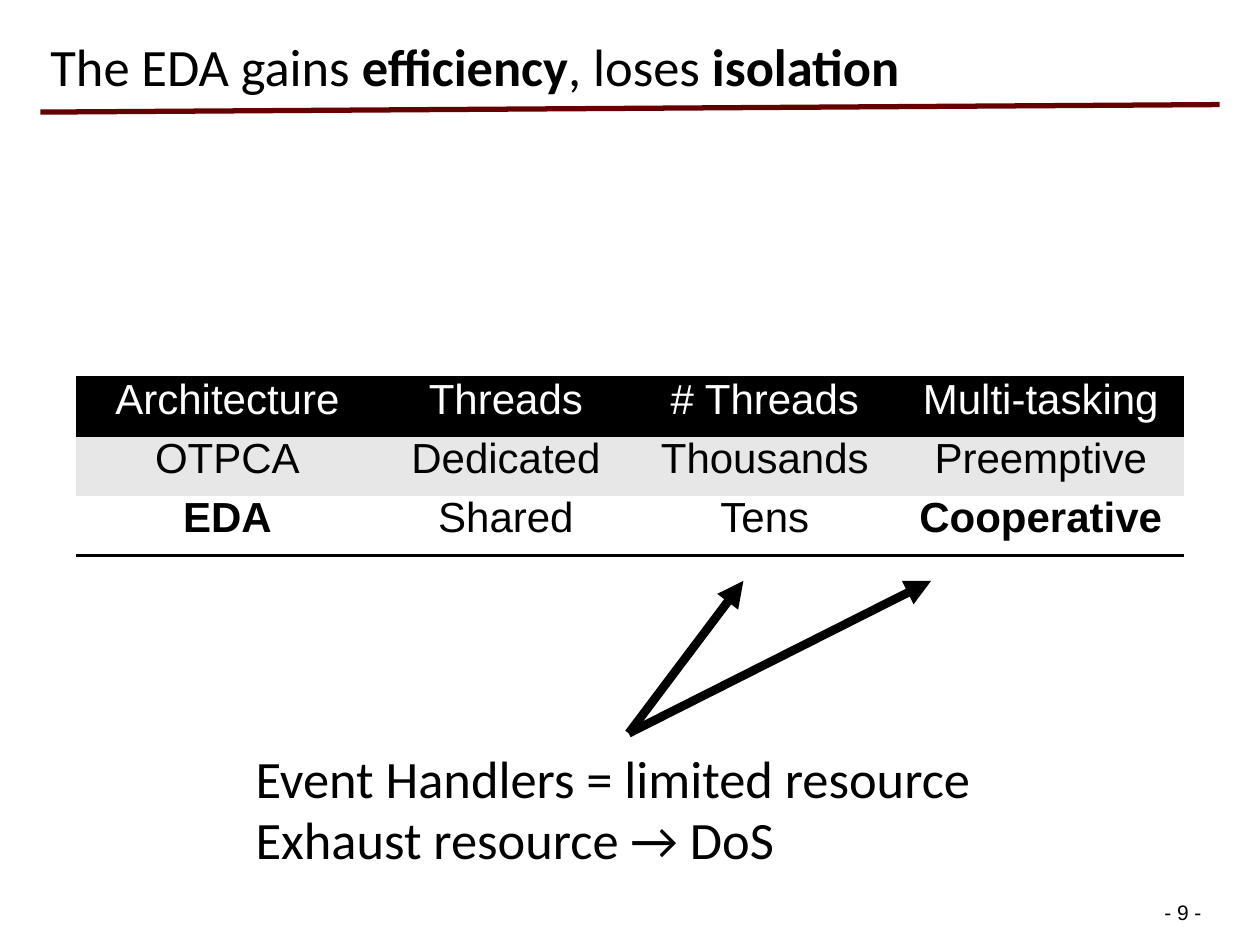
import dataclasses
import typing

import lxml.etree
import pptx
import pptx.dml.color
import pptx.enum.shapes
import pptx.enum.text
import pptx.oxml.ns
import pptx.util

Inches = pptx.util.Inches
Pt = pptx.util.Pt
Align = pptx.enum.text.PP_ALIGN
Point = tuple[float, float]
qn = pptx.oxml.ns.qn


@dataclasses.dataclass(frozen=True)
class Theme:
    black: str = "000000"
    white: str = "FFFFFF"
    gray: str = "E7E7E7"
    maroon: str = "660000"
    head: str = "Calibri"
    body: str = "Arial"
    large: int = 30
    mid: int = 24
    small: int = 12


@dataclasses.dataclass(frozen=True)
class Stroke:
    start: Point
    end: Point
    color: str
    width: float
    arrow: bool = False


@dataclasses.dataclass(frozen=True)
class Row:
    cells: tuple[str, ...]
    fill: str
    ink: str
    bold: tuple[int, ...] = ()
    edge: str = ""


THEME = Theme()
START = (4.99, 5.82)
STROKES = (
    Stroke((0.32, 0.89), (9.68, 0.83), THEME.maroon, 3),
    Stroke(START, (5.9, 4.61), THEME.black, 5, True),
    Stroke(START, (7.39, 4.61), THEME.black, 5, True),
)
COLS = (2.41, 2.01, 2.1, 2.28)
HIGH = 0.47
ROWS = (
    Row(("Architecture", "Threads", "# Threads", "Multi-tasking"),
        THEME.black, THEME.white, edge="lnT"),
    Row(("OTPCA", "Dedicated", "Thousands", "Preemptive"),
        THEME.gray, THEME.black),
    Row(("EDA", "Shared", "Tens", "Cooperative"),
        THEME.white, THEME.black, (0, 3), "lnB"),
)
TITLE = (("The EDA gains ", False), ("efficiency", True),
         (", loses ", False), ("isolation", True))
NOTES = ("Event Handlers = limited resource", "Exhaust resource → DoS")


def rgb(code: str) -> pptx.dml.color.RGBColor:
    return pptx.dml.color.RGBColor.from_string(code)


def apply(item: typing.Any, form: dict[str, typing.Any]) -> None:
    for name, value in form.items():
        setattr(item, name, value)


def write(para: typing.Any, text: str, face: str, size: int,
          ink: str = THEME.black, bold: bool = False) -> None:
    run = para.add_run()
    run.text = text
    apply(run.font, {"name": face, "size": Pt(size), "bold": bold})
    run.font.color.rgb = rgb(ink)


def space(para: typing.Any, size: int, align: Align = Align.LEFT) -> None:
    apply(para, {"line_spacing": 0.8, "space_before": Pt(size * 0.2),
                 "alignment": align})


def draw(slide: typing.Any, stroke: Stroke) -> None:
    ends = [Inches(n) for n in stroke.start + stroke.end]
    kind = pptx.enum.shapes.MSO_CONNECTOR.STRAIGHT
    line = slide.shapes.add_connector(kind, *ends)
    line.line.width = Pt(stroke.width)
    line.line.color.rgb = rgb(stroke.color)
    if stroke.arrow:
        lxml.etree.SubElement(line.line._ln, qn("a:tailEnd"), type="triangle")
    lxml.etree.SubElement(line._element.spPr, qn("a:effectLst"))


def border(cell: typing.Any, edge: str) -> None:
    props = cell._tc.get_or_add_tcPr()
    for spot, side in enumerate(("lnL", "lnR", "lnT", "lnB")):
        line = lxml.etree.Element(qn("a:" + side), w=str(Pt(2)))
        if side == edge:
            fill = lxml.etree.SubElement(line, qn("a:solidFill"))
            lxml.etree.SubElement(fill, qn("a:srgbClr"), val=THEME.black)
        else:
            lxml.etree.SubElement(line, qn("a:noFill"))
        props.insert(spot, line)


def grid(slide: typing.Any) -> None:
    box = (0.6, 3, sum(COLS), HIGH * len(ROWS))
    frame = slide.shapes.add_table(len(ROWS), len(COLS), *map(Inches, box))
    table = frame.table
    apply(table, {"first_row": False, "horz_banding": False})
    for col, width in zip(table.columns, COLS):
        col.width = Inches(width)
    for line, row in zip(table.rows, ROWS):
        line.height = Inches(HIGH)
        for spot, (cell, text) in enumerate(zip(line.cells, row.cells)):
            cell.fill.solid()
            cell.fill.fore_color.rgb = rgb(row.fill)
            border(cell, row.edge)
            para = cell.text_frame.paragraphs[0]
            space(para, THEME.mid, Align.CENTER)
            write(para, text, THEME.body, THEME.mid, row.ink,
                  spot in row.bold)


def head(slide: typing.Any) -> None:
    title = slide.shapes.title
    apply(title, {"left": Inches(0.3), "top": Inches(0.13),
                  "width": Inches(8.8), "height": Inches(0.7)})
    apply(title.text_frame, {
        "vertical_anchor": pptx.enum.text.MSO_ANCHOR.BOTTOM,
        "auto_size": pptx.enum.text.MSO_AUTO_SIZE.NONE,
        "word_wrap": True})
    para = title.text_frame.paragraphs[0]
    apply(para, {"alignment": Align.LEFT, "line_spacing": 0.9})
    for text, bold in TITLE:
        write(para, text, THEME.head, THEME.large, bold=bold)


def notes(slide: typing.Any) -> None:
    box = slide.shapes.add_textbox(*map(Inches, (1.93, 5.97, 6.14, 1.02)))
    frame = box.text_frame
    frame.word_wrap = True
    for spot, text in enumerate(NOTES):
        para = frame.add_paragraph() if spot else frame.paragraphs[0]
        space(para, THEME.large)
        write(para, text, THEME.head, THEME.large)


def number(slide: typing.Any) -> None:
    box = slide.shapes.add_textbox(*map(Inches, (9.19, 7.12, 0.52, 0.24)))
    apply(box.text_frame, {
        "margin_left": Inches(0.05), "margin_right": Inches(0.05),
        "margin_top": Inches(0.02), "margin_bottom": Inches(0.02),
        "word_wrap": False})
    write(box.text_frame.paragraphs[0], "- 9 -", THEME.body, THEME.small)


def main() -> None:
    deck = pptx.Presentation()
    apply(deck, {"slide_width": Inches(10), "slide_height": Inches(7.5)})
    slide = deck.slides.add_slide(deck.slide_layouts[5])
    number(slide)
    head(slide)
    grid(slide)
    notes(slide)
    for stroke in STROKES:
        draw(slide, stroke)
    deck.save("out.pptx")


if __name__ == "__main__":
    main()
